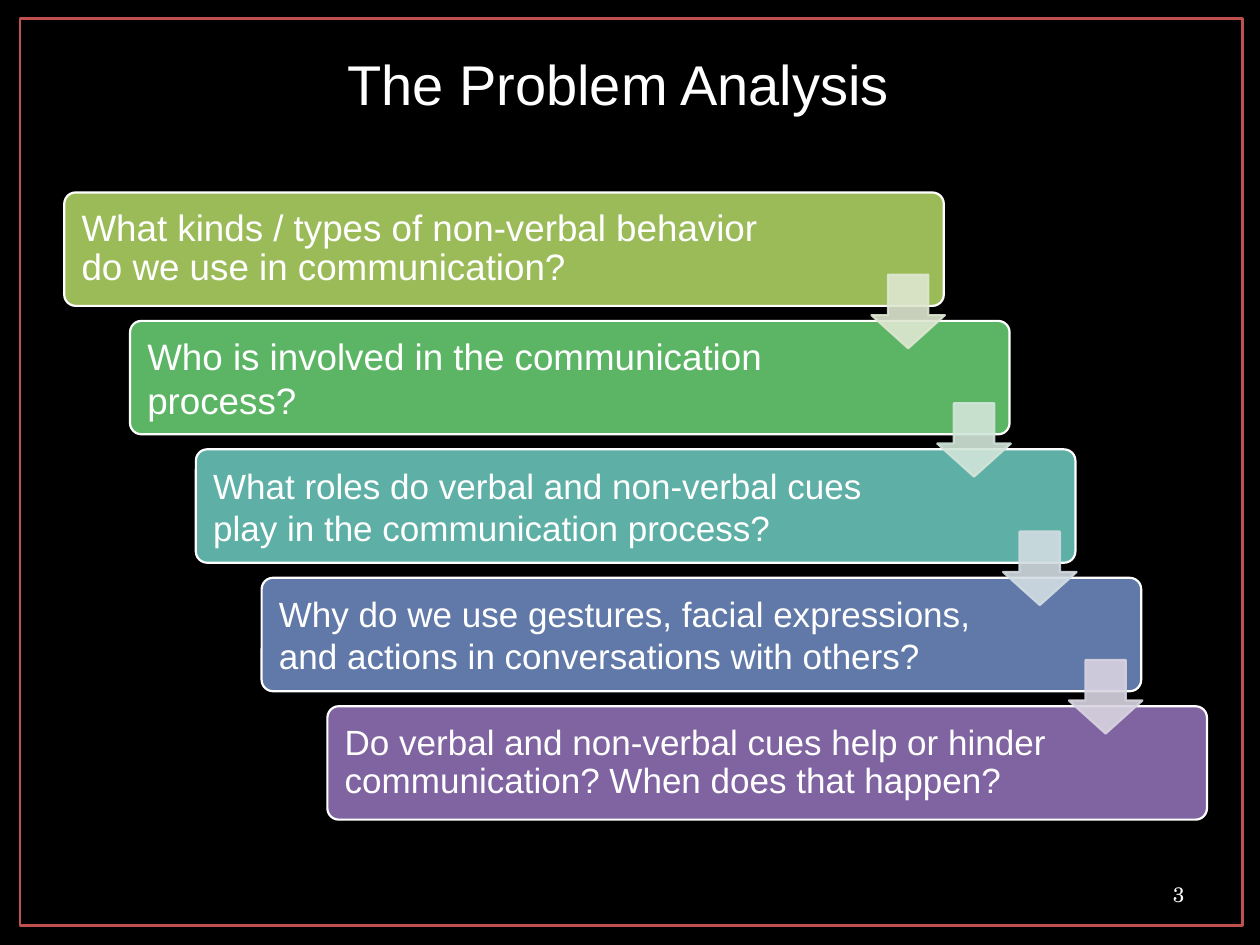
from lxml import etree
from pptx import Presentation
from pptx.dml.color import RGBColor
from pptx.enum.shapes import MSO_SHAPE
from pptx.enum.text import MSO_ANCHOR, PP_ALIGN
from pptx.oxml.ns import qn
from pptx.util import Pt

RECTANGLE = MSO_SHAPE.RECTANGLE
ROUNDED = MSO_SHAPE.ROUNDED_RECTANGLE
DOWN_ARROW = MSO_SHAPE.DOWN_ARROW
MIDDLE = MSO_ANCHOR.MIDDLE
LEFT, CENTER, RIGHT = PP_ALIGN.LEFT, PP_ALIGN.CENTER, PP_ALIGN.RIGHT

COLORS = {"background": "000000", "frame": "C0504D", "white": "FFFFFF"}
QUESTIONS = [
    ("What kinds / types of non-verbal behavior do we use in communication?", 21, 0.9, "9BBB59"),
    ("Who is involved in the communication process?", 21, 1, "5CB565"),
    ("What roles do verbal and non-verbal cues play in the communication process?", 20, 1, "5EAFA6"),
    ("Why do we use gestures, facial expressions, and actions in conversations with others?", 20, 1, "6179A8"),
    ("Do verbal and non-verbal cues help or hinder communication? When does that happen?", 20, 0.9, "8064A2"),
]
ARROW_COLORS = ["DEE7D1", "D2E5D9", "D2DCE2", "D8D3E0"]
STEP_X, STEP_Y = 37.6, 73.4


def color(value):
    """Turn a hex string into a colour."""
    return RGBColor.from_string(value)


def write_text(box, text, size, font, align, spacing=1):
    """Fill a shape with one formatted paragraph."""
    frame = box.text_frame
    frame.text = text
    frame.word_wrap = True
    frame.vertical_anchor = MIDDLE
    para = frame.paragraphs[0]
    para.alignment = align
    para.line_spacing = spacing
    span = para.runs[0]
    span.font.size = Pt(size)
    span.font.name = font
    span.font.color.rgb = color(COLORS["white"])


def add_outlined(page, kind, left, top, width, height, fill, line, weight=1.25):
    """Add a preset shape with an outline and an optional fill."""
    shape = page.shapes.add_shape(kind, Pt(left), Pt(top), Pt(width), Pt(height))
    shape.shadow.inherit = False
    if fill:
        shape.fill.solid()
        shape.fill.fore_color.rgb = color(fill)
    else:
        shape.fill.background()
    shape.line.color.rgb = color(line)
    shape.line.width = Pt(weight)
    return shape


def add_title(page, text):
    """Place and format the title placeholder."""
    title = page.shapes.title
    title.left, title.top, title.width, title.height = Pt(36.7), Pt(24.5), Pt(642.2), Pt(46)
    write_text(title, text, 32, "Arial", CENTER)


def add_question(page, index, text, size, spacing, fill):
    """Add one step of the staircase of questions."""
    box = add_outlined(page, ROUNDED, 36.7 + index * STEP_X, 110 + index * STEP_Y,
                       502.6, 64.8, fill, COLORS["white"])
    box.adjustments[0] = 0.1
    write_text(box, text, size, "Arial", LEFT, spacing)
    box.text_frame.margin_left = Pt(8)
    box.text_frame.margin_right = Pt(88)


def add_arrow(page, index, fill):
    """Add a translucent arrow leading to the next step."""
    arrow = add_outlined(page, DOWN_ARROW, 498 + index * STEP_X, 157 + index * STEP_Y,
                         42, 42, fill, fill)
    arrow.adjustments[0] = 0.55
    arrow.adjustments[1] = 0.45
    for tint in arrow._element.spPr.iter(qn("a:srgbClr")):
        etree.SubElement(tint, qn("a:alpha"), val="90000")


def add_page_number(page, number):
    """Add the page number in the lower right corner."""
    box = page.shapes.add_textbox(Pt(516.2), Pt(496.8), Pt(167.8), Pt(28.8))
    write_text(box, number, 12, "TeX Gyre Schola", RIGHT)


def main():
    """Build the slide and save the deck."""
    deck = Presentation()
    deck.slide_width, deck.slide_height = Pt(720), Pt(540)
    page = deck.slides.add_slide(deck.slide_layouts[5])
    page.background.fill.solid()
    page.background.fill.fore_color.rgb = color(COLORS["background"])
    add_outlined(page, RECTANGLE, 11.5, 10.5, 698.5, 518.5, None, COLORS["frame"], 1.5)
    add_page_number(page, "3")
    add_title(page, "The Problem Analysis ")
    for index, question in enumerate(QUESTIONS):
        add_question(page, index, *question)
    for index, fill in enumerate(ARROW_COLORS):
        add_arrow(page, index, fill)
    deck.save("out.pptx")


if __name__ == "__main__":
    main()
